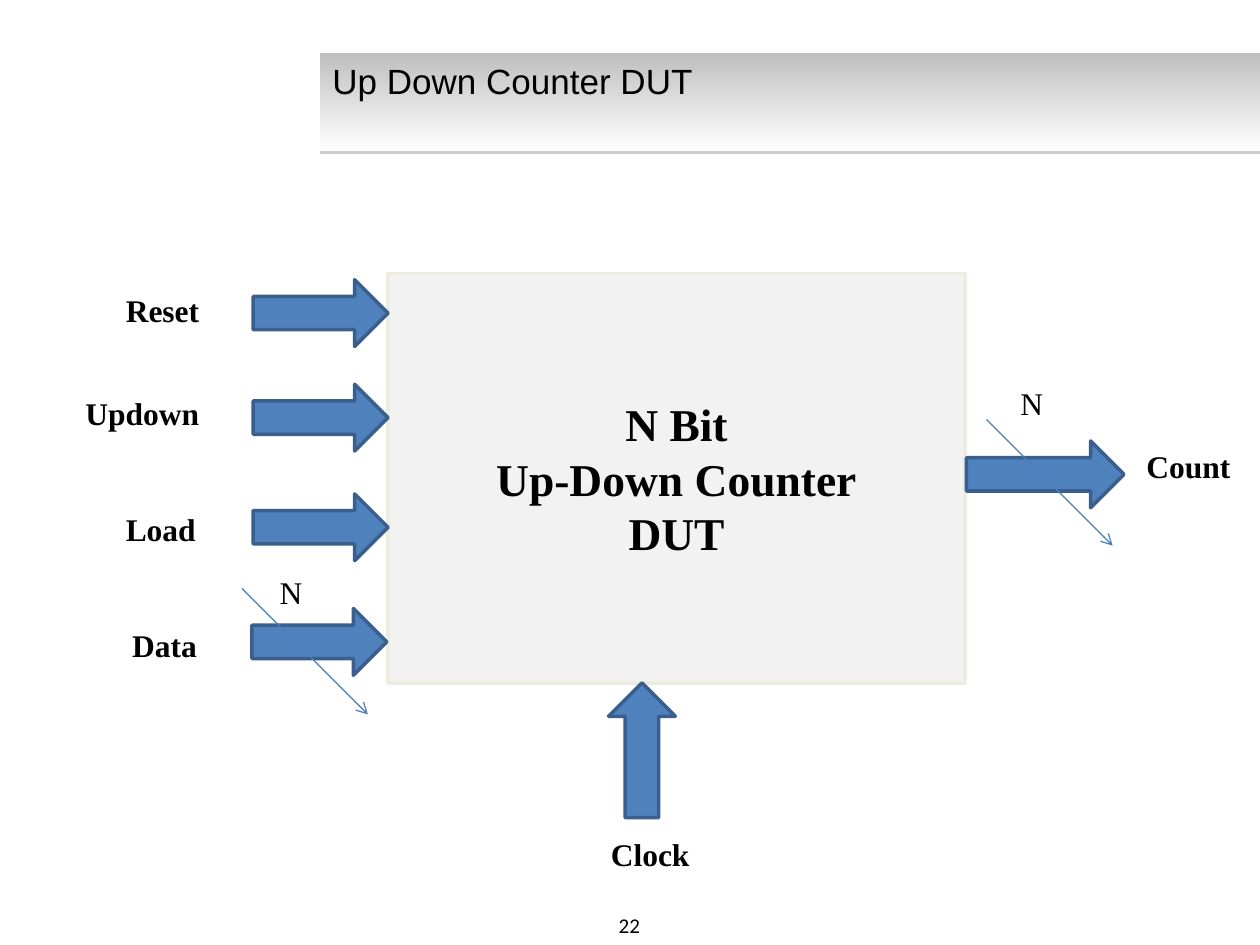
from lxml.etree import SubElement
from pptx import Presentation
from pptx.dml.color import RGBColor as RGB
from pptx.enum.shapes import MSO_CONNECTOR as CONN, MSO_SHAPE as SHAPE
from pptx.enum.text import MSO_ANCHOR as ANCHOR, MSO_AUTO_SIZE as FIT, PP_ALIGN as ALIGN
from pptx.oxml.ns import qn
from pptx.util import Inches, Pt


class Theme:
    ink = RGB(0, 0, 0)
    band_top, band_bottom = RGB(0xBF, 0xBF, 0xBF), RGB(0xFF, 0xFF, 0xFF)
    block, block_edge = RGB(0xF2, 0xF2, 0xF2), RGB(0xEE, 0xEC, 0xE1)
    arrow, arrow_edge = RGB(0x4F, 0x81, 0xBD), RGB(0x3A, 0x5F, 0x8C)
    slash = RGB(0x4B, 0x7E, 0xBC)
    title, heading, label, number = Pt(20), Pt(26), Pt(18), Pt(12)
    serif, sans, footer = "Times New Roman", "Arial", "Calibri"


def write(sp, text, size, font, bold=False, align=ALIGN.LEFT, anchor=ANCHOR.TOP):
    tf = sp.text_frame
    tf.text = text
    tf.word_wrap = True
    tf.vertical_anchor = anchor
    for p in tf.paragraphs:
        p.alignment = align
        for r in p.runs:
            r.font.size = size
            r.font.name = font
            r.font.bold = bold
            r.font.color.rgb = Theme.ink
    return tf


def add_shape(kind, box, fill, edge):
    sp = s.shapes.add_shape(kind, *map(Inches, box))
    sp.shadow.inherit = False
    sp.fill.solid()
    sp.fill.fore_color.rgb = fill
    sp.line.color.rgb = edge
    sp.line.width = Pt(2)
    return sp


prs = Presentation()
prs.slide_width, prs.slide_height = Inches(10), Inches(7.5)
s = prs.slides.add_slide(prs.slide_layouts[6])

title_box = [Inches(v) for v in (2.54, 0.42, 7.46, 0.78)]
band = s.shapes.add_shape(SHAPE.RECTANGLE, *title_box)
band.line.fill.background()
band.fill.gradient()
band.fill.gradient_angle = 270
for stop, color in zip(band.fill.gradient_stops, (Theme.band_top, Theme.band_bottom)):
    stop.color.rgb = color
band.shadow.inherit = False
effects = band._element.spPr.find(qn("a:effectLst"))
shadow = SubElement(effects, qn("a:outerShdw"), dist=str(Pt(1.6)), dir="5400000",
                    algn="t", rotWithShape="0")
shadow_color = SubElement(shadow, qn("a:srgbClr"), val="808080")
SubElement(shadow_color, qn("a:alpha"), val="38000")

title = s.shapes.add_textbox(*title_box)
write(title, "Up Down Counter DUT", Theme.title, Theme.sans)
number = s.shapes.add_textbox(Inches(3.83), Inches(7.19), Inches(2.33), Inches(0.31))
write(number, "22", Theme.number, Theme.footer, align=ALIGN.CENTER, anchor=ANCHOR.MIDDLE)

counter = add_shape(SHAPE.RECTANGLE, (3.08, 2.17, 4.58, 3.25), Theme.block, Theme.block_edge)
write(counter, "N Bit\nUp-Down Counter\nDUT", Theme.heading, Theme.serif, True,
      ALIGN.CENTER, ANCHOR.MIDDLE)

arrows = [(SHAPE.RIGHT_ARROW, (x, y, 1.07, 0.53))
          for x, y in ((2.01, 2.22), (2.01, 3.05), (2.01, 3.92), (2, 4.83))]
arrows += [(SHAPE.UP_ARROW, (4.83, 5.42, 0.53, 1.07)),
           (SHAPE.RIGHT_ARROW, (7.67, 3.5, 1.25, 0.53))]
for kind, box in arrows:
    add_shape(kind, box, Theme.arrow, Theme.arrow_edge)

for x, y in ((1.92, 4.67), (7.83, 3.33)):
    slash = s.shapes.add_connector(CONN.STRAIGHT, Inches(x), Inches(y),
                                   Inches(x + 1), Inches(y + 1))
    slash.line.color.rgb = Theme.slash
    slash.line.width = Pt(0.75)
    SubElement(slash.line._get_or_add_ln(), qn("a:tailEnd"), type="arrow")
    SubElement(slash._element.spPr, qn("a:effectLst"))

labels = [
    ("Reset", 0.9, 2.26, 0.79, True),
    ("Updown", 0.58, 3.08, 1.11, True),
    ("Load", 0.9, 4, 0.76, True),
    ("Data", 0.95, 4.92, 0.72, True),
    ("Clock", 4.75, 6.58, 0.83, True),
    ("Count", 9, 3.5, 0.88, True),
    ("N", 2.12, 4.5, 0.38, False),
    ("N", 8, 3, 0.38, False),
]
for text, x, y, width, bold in labels:
    label = s.shapes.add_textbox(Inches(x), Inches(y), Inches(width), Inches(0.4))
    tf = write(label, text, Theme.label, Theme.serif, bold)
    tf.word_wrap = False
    tf.auto_size = FIT.SHAPE_TO_FIT_TEXT

prs.save("out.pptx")
